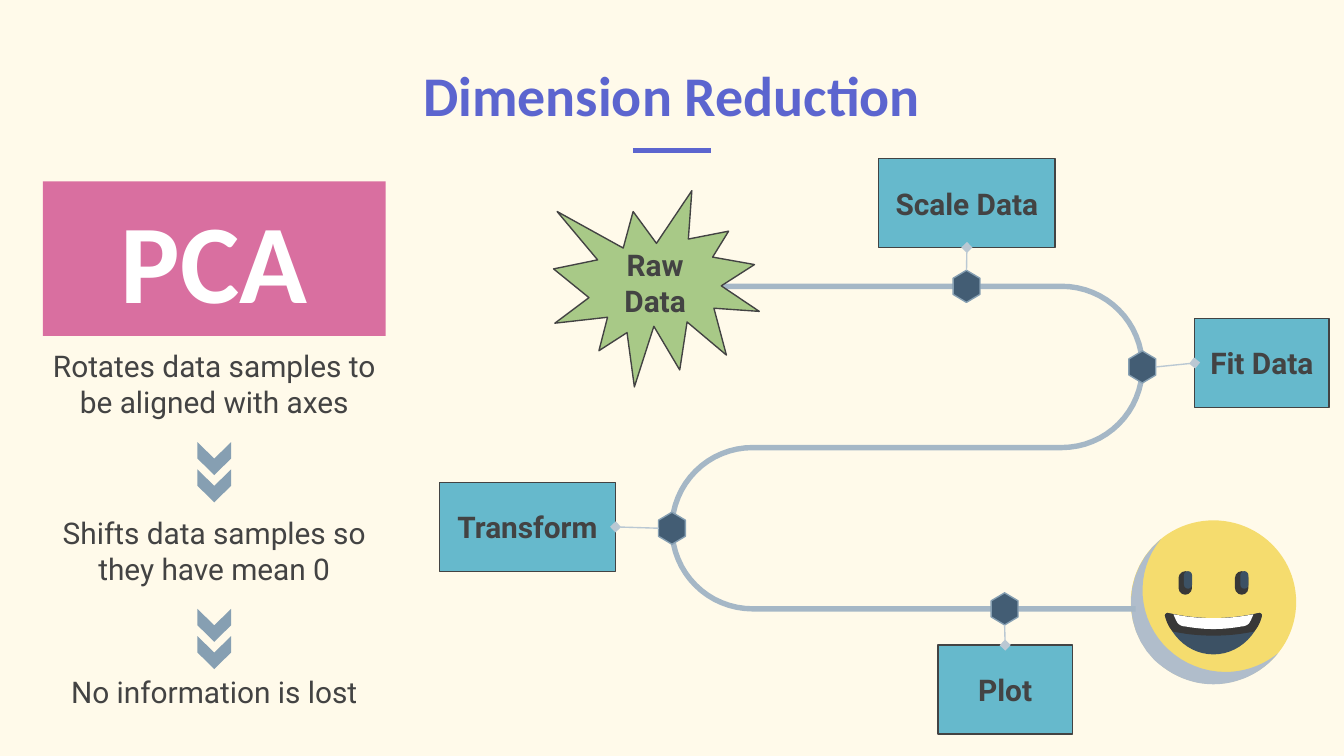
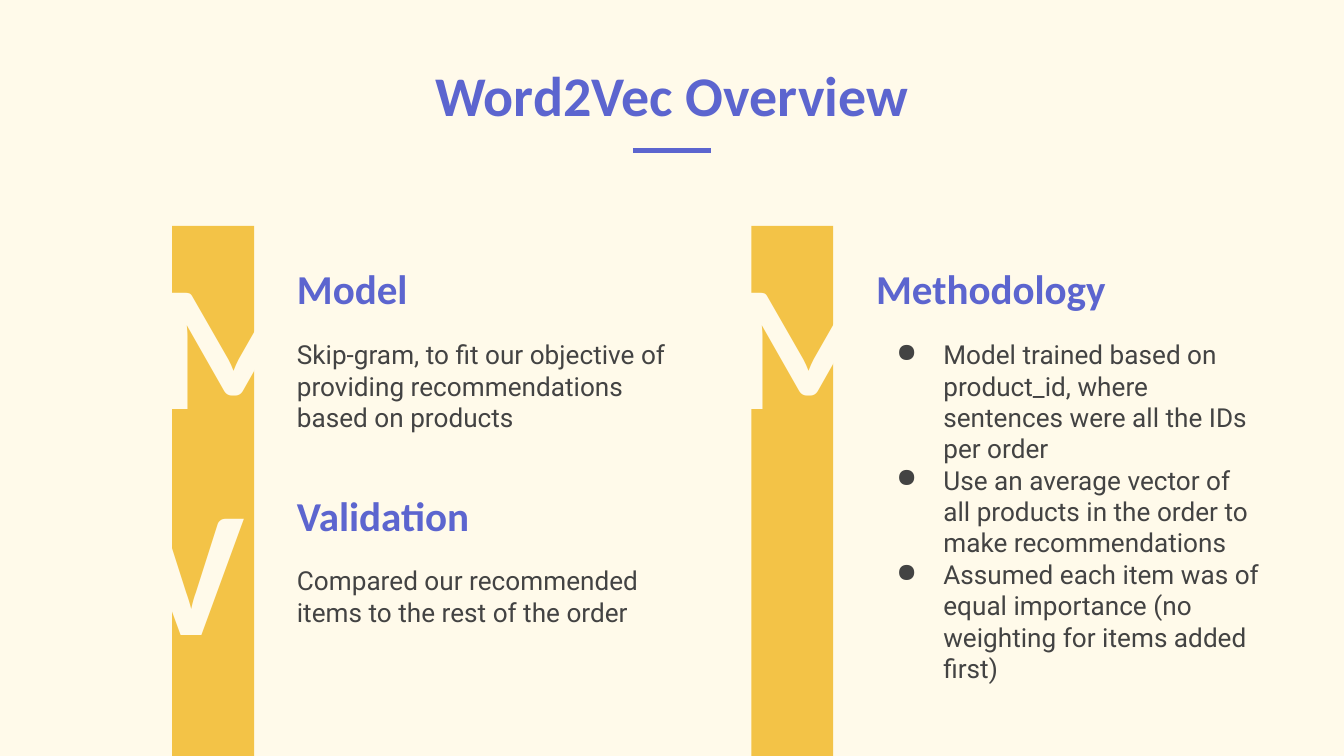
from math import cos, pi, sin

from pptx import Presentation
from pptx.dml.color import RGBColor
from pptx.enum.shapes import MSO_CONNECTOR, MSO_SHAPE
from pptx.enum.text import MSO_ANCHOR as ANCHOR, MSO_AUTO_SIZE, PP_ALIGN as ALIGN
from pptx.oxml.ns import qn
from pptx.util import Pt
from lxml.etree import SubElement

CREAM, INDIGO, INK = "FFFAEA", "5C65CF", "434343"
PINK, TEAL, GREEN, AMBER, WHITE = "D96FA0", "66B9CC", "A8C987", "F3C347", "FFFFFF"
NAVY, STEEL, ROAD, LINK = "435D74", "869FB2", "A5B7C6", "BAC8D3"
FACE, SHADE, MOUTH, COAL = "F5DC6E", "B0BDCB", "3C5164", "383838"
HEAD_FONT, BODY_FONT = "Calibri", "Roboto"
SLIDE_W, SLIDE_H = 720, 405
TOP, LEFT, BOTTOM, RIGHT = range(4)


def rgb(hex_code):
    """Turn a hex string into a colour."""
    return RGBColor.from_string(hex_code)


def paint(shape, fill=None, line=None, weight=0.75):
    """Set the fill and outline of a shape and drop its shadow."""
    shape.shadow.inherit = False
    if fill:
        shape.fill.solid()
        shape.fill.fore_color.rgb = rgb(fill)
    else:
        shape.fill.background()
    if line:
        shape.line.color.rgb = rgb(line)
        shape.line.width = Pt(weight)
    else:
        shape.line.fill.background()
    return shape


def write(holder, *paragraphs, size=16, font=BODY_FONT, color=INK, bold=False,
          align=ALIGN.LEFT, anchor=ANCHOR.TOP, bullet=None):
    """Fill a shape with formatted paragraphs."""
    frame = holder.text_frame
    frame.word_wrap = True
    frame.auto_size = MSO_AUTO_SIZE.NONE
    frame.vertical_anchor = anchor
    frame.margin_left = frame.margin_right = Pt(7.2)
    frame.margin_top = frame.margin_bottom = Pt(7.2)
    for index, words in enumerate(paragraphs):
        paragraph = frame.add_paragraph() if index else frame.paragraphs[0]
        paragraph.alignment = align
        if bullet:
            props = paragraph._p.get_or_add_pPr()
            props.set("marL", str(Pt(36)))
            props.set("indent", str(-Pt(25.2)))
            SubElement(SubElement(props, qn("a:buClr")), qn("a:srgbClr")).set("val", color)
            SubElement(props, qn("a:buChar")).set("char", bullet)
        run = paragraph.add_run()
        run.text = words
        run.font.name, run.font.size, run.font.bold = font, Pt(size), bold
        run.font.color.rgb = rgb(color)


def text(slide, box, *paragraphs, **style):
    """Add a text box."""
    write(slide.shapes.add_textbox(*map(Pt, box)), *paragraphs, **style)


def block(slide, box, fill, line=None, kind=MSO_SHAPE.RECTANGLE):
    """Add a painted preset shape."""
    return paint(slide.shapes.add_shape(kind, *map(Pt, box)), fill, line)


def outline(slide, points, fill=None, line=None, weight=0.75, close=True):
    """Add a freeform through the given points."""
    start, *rest = [(Pt(x), Pt(y)) for x, y in points]
    builder = slide.shapes.build_freeform(*start)
    builder.add_line_segments(rest, close=close)
    return paint(builder.convert_to_shape(), fill, line, weight)


def connector(slide, start, end, color, weight, head=None):
    """Add a straight line with an optional head at its start."""
    link = slide.shapes.add_connector(MSO_CONNECTOR.STRAIGHT, *map(Pt, (*start, *end)))
    link.line.color.rgb = rgb(color)
    link.line.width = Pt(weight)
    props = link._element.spPr
    if head:
        SubElement(props.find(qn("a:ln")), qn("a:headEnd")).set("type", head)
    SubElement(props, qn("a:effectLst"))
    return link


def curve(start, *cubics, steps=12):
    """Sample a chain of cubic curves, each given as two controls and an end."""
    points = [start]
    for c1, c2, end in cubics:
        p0 = points[-1]
        for step in range(1, steps + 1):
            t = step / steps
            u = 1 - t
            points.append(tuple(u**3 * a + 3 * u * u * t * b + 3 * u * t * t * c + t**3 * d
                                for a, b, c, d in zip(p0, c1, c2, end)))
    return points


def arc(cx, cy, radius, start, sweep, steps=32):
    """Sample an arc, with angles in degrees."""
    angles = [(start + sweep * i / steps) * pi / 180 for i in range(steps + 1)]
    return [(cx + radius * cos(a), cy + radius * sin(a)) for a in angles]


def titled_slide(deck, title):
    """Add a slide with the shared title and rule."""
    slide = deck.slides.add_slide(deck.slide_layouts[5])
    holder = slide.shapes.title
    holder.left, holder.top, holder.width, holder.height = map(Pt, (62.6, 15.8, 594.7, 59.8))
    write(holder, title, size=30, font=HEAD_FONT, color=INDIGO, bold=True,
          align=ALIGN.CENTER, anchor=ANCHOR.BOTTOM)
    connector(slide, (339.1, 80.6), (380.9, 80.6), INDIGO, 3)
    return slide


def pca_column(slide, left, top, width):
    """Draw the PCA banner and its steps with chevrons between them."""
    banner = block(slide, (left + 3.6, top, width - 7.2, 82.8), PINK)
    write(banner, "PCA", size=60, font=HEAD_FONT, color=WHITE, bold=True,
          align=ALIGN.CENTER, anchor=ANCHOR.MIDDLE)
    steps = [("Rotates data samples to be aligned with axes", 82.1),
             ("Shifts data samples so they have mean 0", 171.4),
             ("No information is lost", 256.3)]
    for step, offset in steps:
        text(slide, (left, top + offset, width, 48), step, align=ALIGN.CENTER)
    middle, half, drop = left + width / 2, 9, 8.8
    for pair in (139.7, 229):
        for y in (top + pair, top + pair + 14.6):
            outline(slide, [(middle - half, y), (middle, y + drop), (middle + half, y),
                            (middle + half, y + drop), (middle, y + 2 * drop),
                            (middle - half, y + drop)], STEEL)


def smiley(slide, cx, cy):
    """Draw a smiling face around its centre."""
    def place(points, fill):
        outline(slide, [(cx + x, cy + y) for x, y in points], fill)

    def mirrored(points, fill):
        place(points + [(-x, y) for x, y in reversed(points)], fill)

    block(slide, (cx - 44.3, cy - 43.8, 88.6, 87.6), FACE, kind=MSO_SHAPE.OVAL)
    place(curve((-28.1, -33.8),
                ((-48.2, -17.3), (-49.7, 13), (-31.7, 31)),
                ((-22.3, 39.6), (-11.5, 44), (0, 44)),
                ((13, 44), (25.9, 38.2), (34.6, 27.4)),
                ((26.6, 33.8), (16.6, 37.4), (6.5, 37.4)),
                ((-10.8, 37.4), (-26.6, 27.4), (-33.8, 12.2)),
                ((-41, -2.9), (-38.9, -20.9), (-28.1, -33.8))), SHADE)
    upper_lip = [((-8, 8.6), (-16, 7.7), (-24.5, 5.8)),
                 ((-25.2, 5.8), (-26, 6.5), (-26, 7.2))]
    mirrored(curve((0, 8.6), *upper_lip, ((-22.3, 19.4), (-12.2, 28), (0, 28))), MOUTH)
    mirrored(curve((0, 8.6), *upper_lip,
                   ((-25.2, 10.8), (-23.8, 13.7), (-21.6, 15.8)),
                   ((-14.4, 17.3), (-7.2, 18), (0, 18))), COAL)
    for eye_left in (-18.7, 11.5):
        for dx, width, height, fill in ((0, 7.2, 12.6, COAL), (2.9, 4.3, 9.4, MOUTH)):
            eye = block(slide, (cx + eye_left + dx, cy - 16.6, width, height), fill,
                        kind=MSO_SHAPE.ROUNDED_RECTANGLE)
            eye.adjustments[0] = 0.5
    mirrored(curve((0, 8.6),
                   ((-7.2, 8.6), (-14.4, 7.9), (-21.4, 6.5)),
                   ((-20.9, 7.9), (-20.2, 9.4), (-19.4, 10.8)),
                   ((-18.7, 12.2), (-16.6, 13), (-15.1, 13)),
                   ((-10, 13.9), (-5, 14.4), (0, 14.4))), WHITE)


def milestone(slide, node, label, box, side):
    """Draw a hexagon on the road and the label joined to it."""
    x, y = node
    outline(slide, [(x, y - 8.6), (x + 7.2, y - 4.3), (x + 7.2, y + 4.3),
                    (x, y + 8.6), (x - 7.2, y + 4.3), (x - 7.2, y - 4.3)], NAVY, STEEL)
    card = block(slide, box, TEAL, INK)
    write(card, label, bold=True, align=ALIGN.CENTER, anchor=ANCHOR.MIDDLE)
    edge = {TOP: (x, y + 8.6), LEFT: (x + 7.2, y),
            BOTTOM: (x, y - 8.6), RIGHT: (x - 7.2, y)}[side]
    link = connector(slide, edge, edge, LINK, 0.75, head="diamond")
    link.begin_connect(card, side)


def roadmap(slide, left, top):
    """Draw the winding road from raw data to the smiley."""
    radius = 43.2
    row = [top + 68.4 + 2 * radius * i for i in range(3)]
    west, east = left + 167.8, left + 333.4
    smiley(slide, left + 414.7, top + 237.6)
    outline(slide, [(left + 130, row[0]), *arc(east, row[0] + radius, radius, -90, 180),
                    *arc(west, row[1] + radius, radius, -90, -180), (left + 373, row[2])],
            line=ROAD, weight=2.9, close=False)
    seal = block(slide, (left + 61.2, top + 17.2, 110.2, 105.1), GREEN, INK, MSO_SHAPE.EXPLOSION1)
    write(seal, "Raw Data", bold=True, align=ALIGN.CENTER, anchor=ANCHOR.MIDDLE)
    wide, narrow, height = 94.4, 72, 47.6
    stops = [
        ("Scale Data", (left + 282.4, row[0]), (left + 235.4, top, wide, height), BOTTOM),
        ("Fit Data", (east + radius, row[0] + radius), (left + 404.6, top + 85.7, narrow, height), LEFT),
        ("Transform", (west - radius, row[1] + radius), (left, top + 173.5, wide, height), RIGHT),
        ("Plot", (left + 302.8, row[2]), (left + 267.1, top + 260.6, narrow, height), TOP),
    ]
    for label, node, box, side in stops:
        milestone(slide, node, label, box, side)


def topic_column(slide, left, top, topics):
    """Draw a bar with big initials and the topics beside it."""
    block(slide, (left, top, 43.9, SLIDE_H - top), AMBER)
    for index, (heading, body, bullet, letter_shift, letter_width) in enumerate(topics):
        y = top + 121.2 * index
        text(slide, (left + letter_shift, y, letter_width, 120.2), heading[0], size=96,
             font=HEAD_FONT, color=CREAM, bold=True, align=ALIGN.RIGHT, anchor=ANCHOR.MIDDLE)
        text(slide, (left + 59.8, y - 5, 190.8, 59), heading, size=22, font=HEAD_FONT,
             color=INDIGO, bold=True, anchor=ANCHOR.BOTTOM)
        text(slide, (left + 59.8, y + 53.2, 221, 59), *body, size=14, bullet=bullet)


def main():
    """Build and save both slides."""
    deck = Presentation()
    deck.slide_width, deck.slide_height = Pt(SLIDE_W), Pt(SLIDE_H)
    backdrop = deck.slide_master.background.fill
    backdrop.solid()
    backdrop.fore_color.rgb = rgb(CREAM)

    reduction = titled_slide(deck, "Dimension Reduction")
    pca_column(reduction, 19.4, 97.2, 190.8)
    roadmap(reduction, 235.4, 85)

    overview = titled_slide(deck, "Word2Vec Overview")
    topic_column(overview, 92.2, 121, [
        ("Model", ["Skip-gram, to fit our objective of providing recommendations "
                   "based on products"], None, -15.8, 61.9),
        ("Validation", ["Compared our recommended items to the rest of the order"],
         None, -38.2, 84.2),
    ])
    topic_column(overview, 402.5, 121, [
        ("Methodology", [
            "Model trained based on product_id, where sentences were all the IDs per order",
            "Use an average vector of all products in the order to make recommendations",
            "Assumed each item was of equal importance (no weighting for items added first)",
        ], "●", -18, 61.9),
    ])
    deck.save("out.pptx")


if __name__ == "__main__":
    main()
